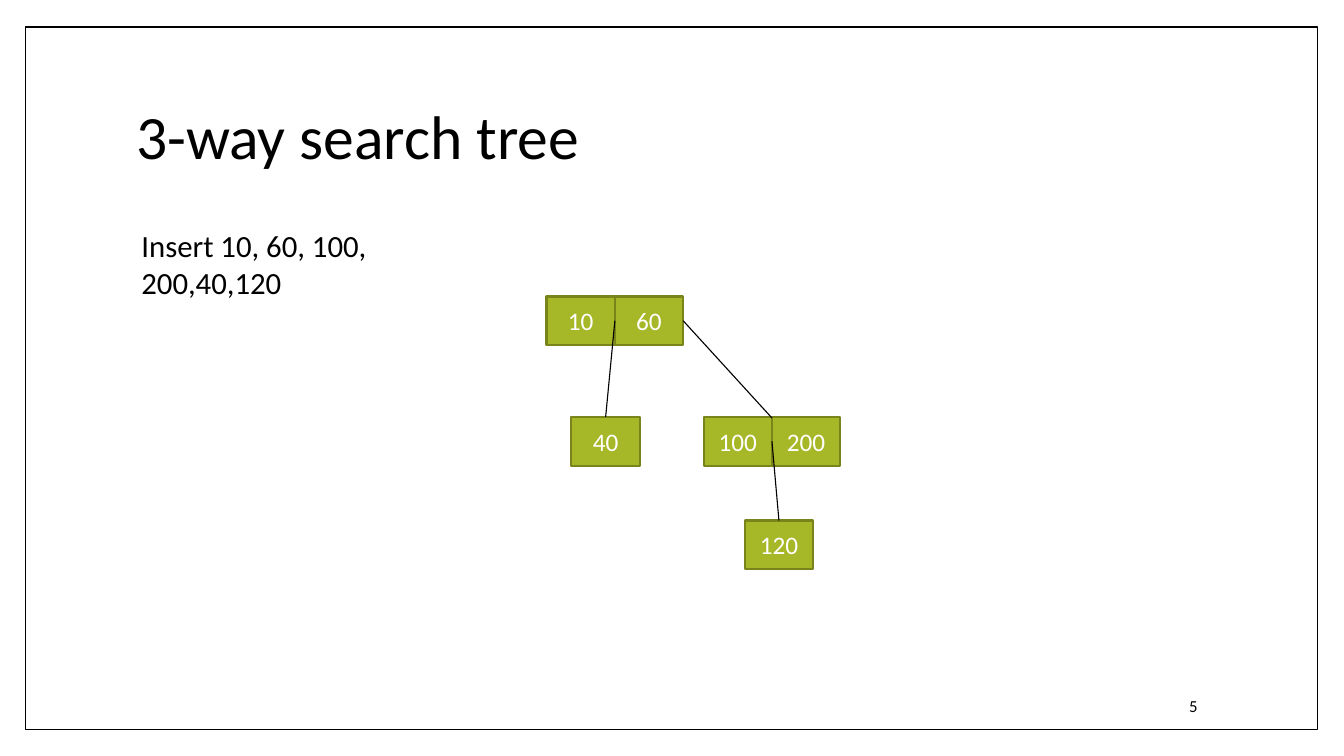
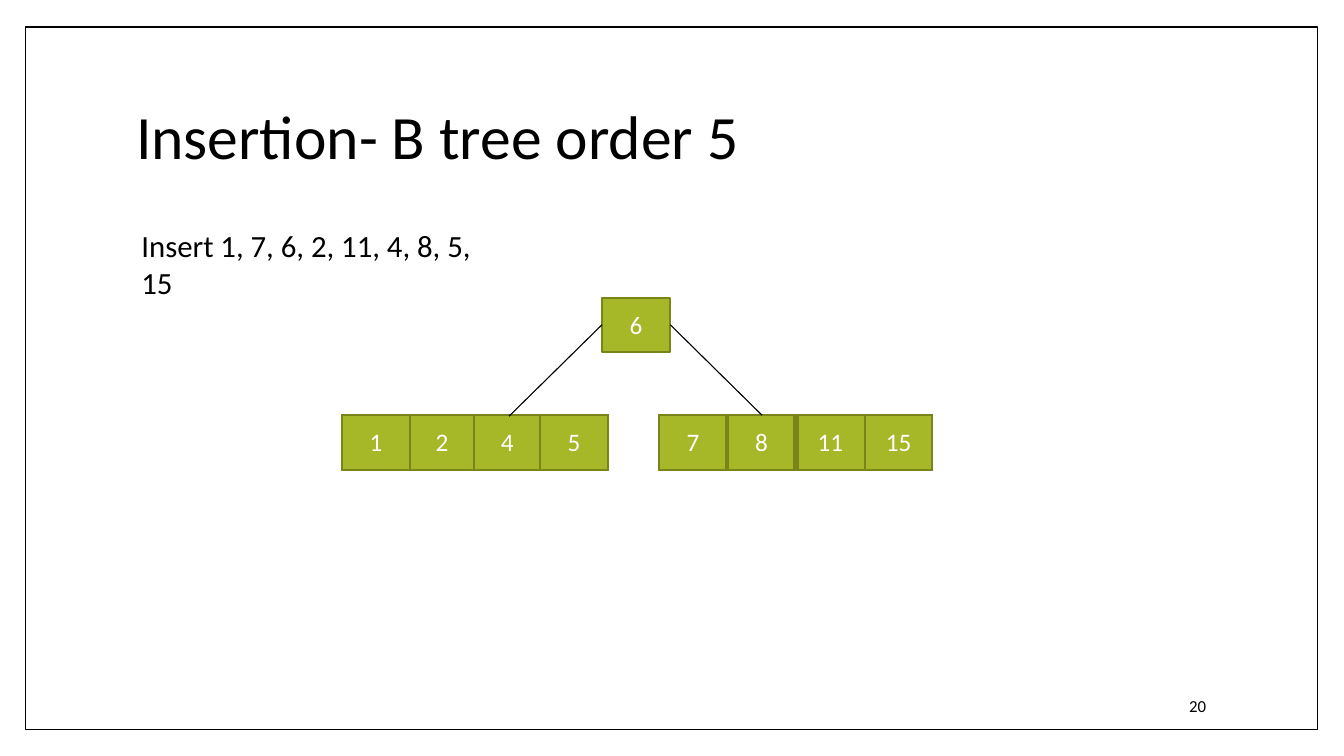
import lxml.etree
import pptx
import pptx.dml.color
import pptx.enum.shapes
import pptx.enum.text
import pptx.oxml.ns
import pptx.util

Pt = pptx.util.Pt
qn = pptx.oxml.ns.qn
ALIGN = pptx.enum.text.PP_ALIGN
ANCHOR = pptx.enum.text.MSO_ANCHOR
TOP, LEFT, RIGHT = 0, 1, 3  # connection sites of a rectangle


def rgb(hex_color):
    return pptx.dml.color.RGBColor.from_string(hex_color)


class TreeDeck:
    """Holds the shared style and the slide being drawn; lengths are in points."""

    FONT = "Calibri"
    INK = "000000"
    KEY_FILL = "A6B727"
    KEY_LINE = "79851A"
    KEY_TEXT = "FFFFFF"
    KEY_WIDTH = 48.8
    KEY_BORDER = 1.5

    def __init__(self):
        self.deck = pptx.Presentation()
        self.deck.slide_width = Pt(960)
        self.deck.slide_height = Pt(540)
        self.slide = None

    def start_slide(self, title, task, page):
        """Add a slide with its title, frame, insertion task and page number."""
        self.slide = self.deck.slides.add_slide(self.deck.slide_layouts[5])
        heading = self.slide.shapes.title
        heading.left, heading.top = Pt(97.2), Pt(70)
        heading.width, heading.height = Pt(600), Pt(55)
        self.fill_text(heading.text_frame, title, 44)
        self.frame()
        self.text(101, 162, 245, 54, task, 22)
        self.text(849.4, 497, 30, 15, page, 12)

    def fill_text(self, frame, text, size, color=INK, align=ALIGN.LEFT, anchor=ANCHOR.TOP):
        frame.word_wrap = True
        frame.auto_size = pptx.enum.text.MSO_AUTO_SIZE.NONE
        frame.margin_left = frame.margin_right = 0
        frame.margin_top = frame.margin_bottom = 0
        frame.vertical_anchor = anchor
        self.style_line(frame.paragraphs[0], text, size, color, align)

    def style_line(self, paragraph, text, size, color, align):
        paragraph.text = text
        paragraph.alignment = align
        paragraph.font.name = self.FONT
        paragraph.font.size = Pt(size)
        paragraph.font.color.rgb = rgb(color)

    def text(self, left, top, width, height, text, size):
        box = self.slide.shapes.add_textbox(Pt(left), Pt(top), Pt(width), Pt(height))
        self.fill_text(box.text_frame, text, size)

    def rectangle(self, left, top, width, height, line, line_width):
        shape = self.slide.shapes.add_shape(
            pptx.enum.shapes.MSO_SHAPE.RECTANGLE, Pt(left), Pt(top), Pt(width), Pt(height)
        )
        shape.shadow.inherit = False
        shape.line.color.rgb = rgb(line)
        shape.line.width = Pt(line_width)
        return shape

    def frame(self):
        self.rectangle(18.2, 19.3, 923, 501.8, self.INK, 1).fill.background()

    def key(self, left, top, label, height=34.6):
        box = self.rectangle(left, top, self.KEY_WIDTH, height, self.KEY_LINE, self.KEY_BORDER)
        box.fill.solid()
        box.fill.fore_color.rgb = rgb(self.KEY_FILL)
        self.fill_text(box.text_frame, label, 18, self.KEY_TEXT, ALIGN.CENTER, ANCHOR.MIDDLE)
        return box

    def key_pair(self, left, top, labels):
        return [self.key(left + i * self.KEY_WIDTH, top, label) for i, label in enumerate(labels)]

    def edge(self, parent, side, child=None, point=(0, 0)):
        """Link a side of the parent key to the top of a child key or to a point."""
        end_x, end_y = map(Pt, point)
        link = self.slide.shapes.add_connector(
            pptx.enum.shapes.MSO_CONNECTOR.STRAIGHT, parent.left, parent.top, end_x, end_y
        )
        link.begin_connect(parent, side)
        if child is not None:
            link.end_connect(child, TOP)
        link.line.color.rgb = rgb(self.INK)
        link.line.width = Pt(0.8)
        lxml.etree.SubElement(link._element.spPr, qn("a:effectLst"))

    def key_table(self, left, top, labels, widths, dividers, caps):
        """Draw a row of keys; dividers are vertical line widths, caps the top and bottom ones."""
        height = 39.2
        table = self.slide.shapes.add_table(
            1, len(labels), Pt(left), Pt(top), Pt(sum(widths)), Pt(height)
        ).table
        table.first_row = table.horz_banding = False
        for i, label in enumerate(labels):
            table.columns[i].width = Pt(widths[i])
            cell = table.cell(0, i)
            cell.margin_left = cell.margin_right = 0
            cell.margin_top = cell.margin_bottom = 0
            cell.vertical_anchor = ANCHOR.MIDDLE
            self.style_line(
                cell.text_frame.paragraphs[0], label, 18, self.KEY_TEXT, ALIGN.CENTER
            )
            self.borders(cell, L=dividers[i], R=dividers[i + 1], T=caps[i], B=caps[i])
            cell.fill.solid()
            cell.fill.fore_color.rgb = rgb(self.KEY_FILL)

    def borders(self, cell, **side_widths):
        properties = cell._tc.get_or_add_tcPr()
        for side, width in side_widths.items():
            line = lxml.etree.SubElement(properties, qn(f"a:ln{side}"), w=str(int(Pt(width))))
            fill = lxml.etree.SubElement(line, qn("a:solidFill"))
            lxml.etree.SubElement(fill, qn("a:srgbClr"), val=self.KEY_LINE)


def draw_search_tree(tree):
    tree.start_slide("3-way search tree", "Insert 10, 60, 100, 200,40,120", "5")
    key_10, key_60 = tree.key_pair(390.4, 211.8, ["10", "60"])
    key_100, _ = tree.key_pair(502.6, 298, ["100", "200"])
    key_40 = tree.key(408.2, 298, "40")
    key_120 = tree.key(532, 371.8, "120")
    tree.edge(key_60, RIGHT, point=(551.4, 298.6))
    tree.edge(key_10, RIGHT, key_40)
    tree.edge(key_100, RIGHT, key_120)


def draw_b_tree(tree):
    tree.start_slide("Insertion- B tree order 5", "Insert 1, 7, 6, 2, 11, 4, 8, 5, 15", "20")
    root = tree.key(430, 212.6, "6", height=38.8)
    leaf_top = 296.5
    tree.key_table(244.3, leaf_top, ["1", "2", "4", "5"], [48.6, 45.8, 47.2, 48.4],
                   dividers=[1.5] * 5, caps=[2.25, 1.5, 1.5, 1.5])
    tree.key_table(470.7, leaf_top, ["7", "8", "11", "15"], [48.6, 49.3, 49.3, 47.9],
                   dividers=[1.5, 3, 4.25, 2.25, 1.5], caps=[1.5] * 4)
    tree.edge(root, LEFT, point=(363.6, 297.3))
    tree.edge(root, RIGHT, point=(544.4, 296.7))


def main():
    tree = TreeDeck()
    draw_search_tree(tree)
    draw_b_tree(tree)
    tree.deck.save("out.pptx")


if __name__ == "__main__":
    main()
